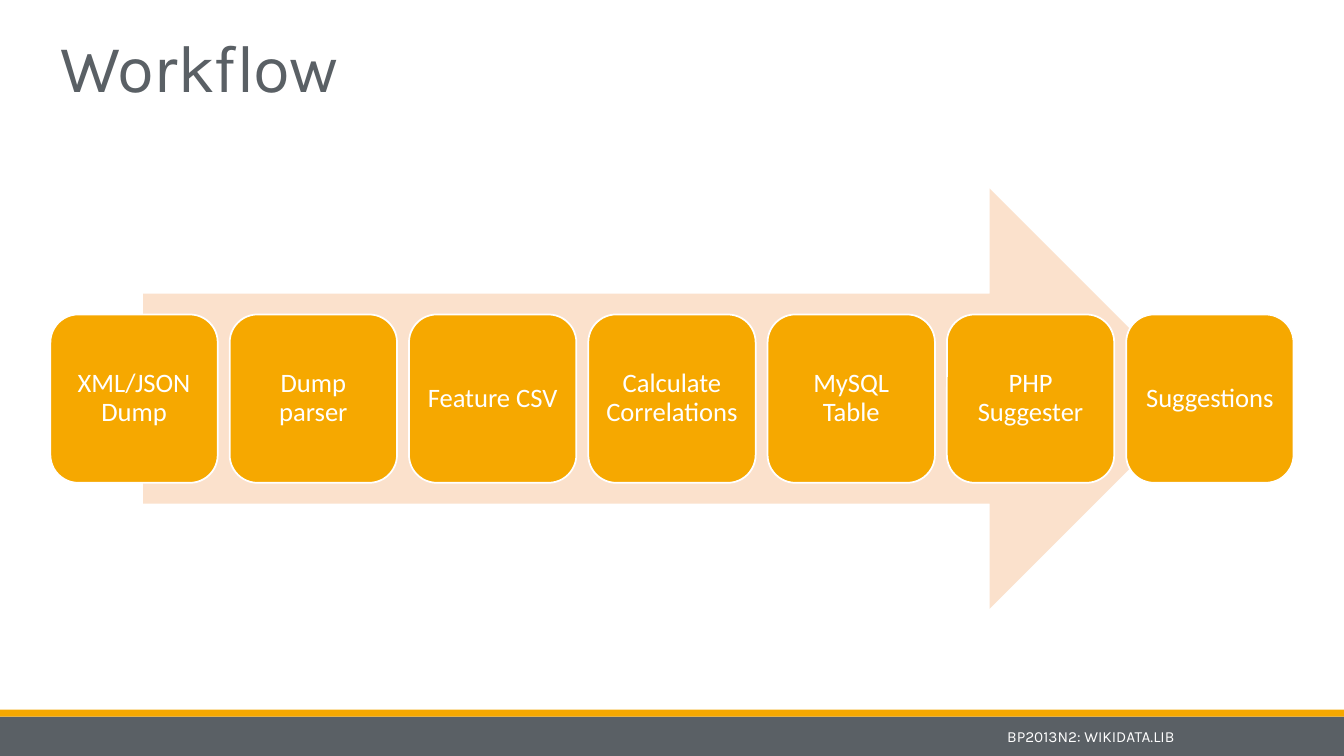
from dataclasses import dataclass

from pptx import Presentation
from pptx.dml.color import RGBColor
from pptx.enum.shapes import MSO_SHAPE
from pptx.enum.text import MSO_ANCHOR, MSO_AUTO_SIZE, PP_ALIGN
from pptx.oxml.ns import qn
from pptx.util import Inches, Pt

RECT, ROUND, ARROW = MSO_SHAPE.RECTANGLE, MSO_SHAPE.ROUNDED_RECTANGLE, MSO_SHAPE.RIGHT_ARROW
LEFT, CENTER, RIGHT = PP_ALIGN.LEFT, PP_ALIGN.CENTER, PP_ALIGN.RIGHT
MIDDLE, BOTTOM = MSO_ANCHOR.MIDDLE, MSO_ANCHOR.BOTTOM
FIXED = MSO_AUTO_SIZE.NONE

GREY = RGBColor(0x5A, 0x60, 0x65)
GOLD = RGBColor(0xF6, 0xA8, 0x00)
PEACH = RGBColor(0xFB, 0xE1, 0xCC)
WHITE = RGBColor(0xFF, 0xFF, 0xFF)

STEPS = ["XML/JSON Dump", "Dump parser", "Feature CSV", "Calculate Correlations",
         "MySQL Table", "PHP Suggester", "Suggestions"]
FIRST, LAST = 0.5, 11.17
PITCH = (LAST - FIRST) / (len(STEPS) - 1)


@dataclass
class Box:
    """Place of an element in inches."""
    left: float
    top: float
    width: float
    height: float

    def lengths(self) -> list:
        """Return the place as lengths."""
        return [Inches(n) for n in (self.left, self.top, self.width, self.height)]


@dataclass
class Style:
    """Look of a line of text."""
    font: str
    size: float
    color: RGBColor
    align: PP_ALIGN
    anchor: MSO_ANCHOR
    leading: float = 1.0


TITLE = Style("Karla", 48, GREY, LEFT, BOTTOM, 0.85)
STEP = Style("Calibri", 19, WHITE, CENTER, MIDDLE, 0.9)
FOOTER = Style("Karla", 11, WHITE, RIGHT, MIDDLE)


def write(frame, text: str, style: Style):
    """Write one styled paragraph and return it."""
    frame.word_wrap = True
    frame.auto_size = FIXED
    frame.vertical_anchor = style.anchor
    para = frame.paragraphs[0]
    para.text = text
    para.alignment = style.align
    para.line_spacing = style.leading
    para.font.name = style.font
    para.font.size = Pt(style.size)
    para.font.color.rgb = style.color
    return para


def draw(shapes, kind: MSO_SHAPE, box: Box, fill: RGBColor):
    """Draw a plain filled shape without a line."""
    shape = shapes.add_shape(kind, *box.lengths())
    shape.shadow.inherit = False
    shape.fill.solid()
    shape.fill.fore_color.rgb = fill
    shape.line.fill.background()
    return shape


def draw_step(shapes, left: float, text: str) -> None:
    """Draw one step of the workflow."""
    shape = draw(shapes, ROUND, Box(left, 3.12, 1.66, 1.67), GOLD)
    shape.line.color.rgb = WHITE
    shape.line.width = Pt(1.25)
    frame = shape.text_frame
    frame.margin_left = frame.margin_right = Inches(0.08)
    frame.margin_top = frame.margin_bottom = Inches(0.08)
    write(frame, text, STEP)


def main() -> None:
    """Build and save the slide."""
    deck = Presentation()
    deck.slide_width, deck.slide_height = Inches(13.33), Inches(7.5)
    slide = deck.slides.add_slide(deck.slide_layouts[5])
    shapes = slide.shapes

    draw(shapes, RECT, Box(0, 7.11, 13.33, 0.39), GREY)
    draw(shapes, RECT, Box(0, 7.04, 13.33, 0.07), GOLD)

    title = shapes.title
    title.left, title.top, title.width, title.height = Box(0.5, 0, 11.04, 1.1).lengths()
    para = write(title.text_frame, "Workflow", TITLE)
    para._p.pPr.find(qn("a:defRPr")).set("spc", "-50")

    draw(shapes, ARROW, Box(1.42, 1.87, 10.48, 4.17), PEACH)
    for i, text in enumerate(STEPS):
        draw_step(shapes, FIRST + i * PITCH, text)

    footer = shapes.add_textbox(*Box(1.59, 7.11, 10.16, 0.39).lengths())
    write(footer.text_frame, "BP2013N2: WIKIDATA.LIB", FOOTER)
    deck.save("out.pptx")


if __name__ == "__main__":
    main()
